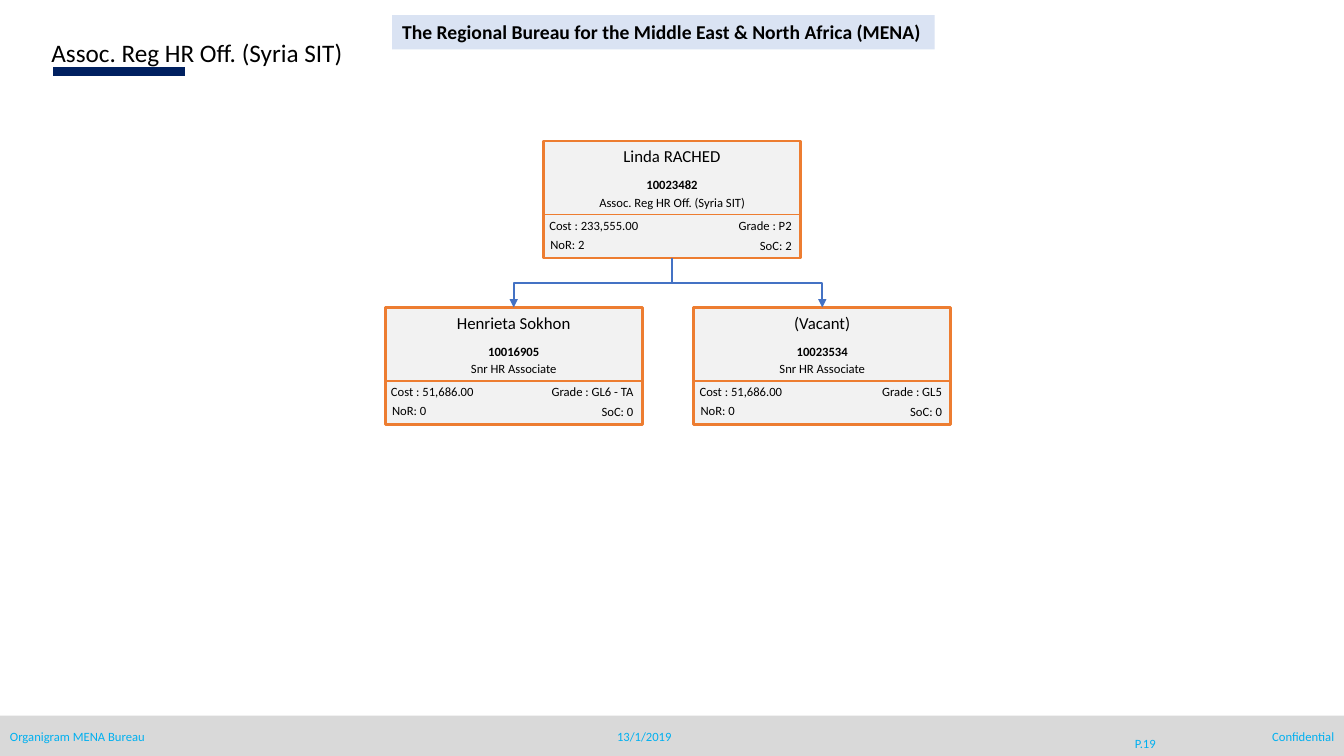
from lxml import etree
from pptx import Presentation
from pptx.dml.color import RGBColor
from pptx.enum.shapes import MSO_CONNECTOR, MSO_SHAPE
from pptx.enum.text import MSO_ANCHOR, MSO_AUTO_SIZE, PP_ALIGN
from pptx.oxml.ns import qn
from pptx.util import Inches, Pt

LEFT, CENTER, RIGHT = PP_ALIGN.LEFT, PP_ALIGN.CENTER, PP_ALIGN.RIGHT
TOP, MIDDLE = MSO_ANCHOR.TOP, MSO_ANCHOR.MIDDLE
NO_RESIZE = MSO_AUTO_SIZE.NONE
RECTANGLE = MSO_SHAPE.RECTANGLE
STRAIGHT, ELBOW = MSO_CONNECTOR.STRAIGHT, MSO_CONNECTOR.ELBOW

BLACK = RGBColor(0x00, 0x00, 0x00)
NAVY = RGBColor(0x00, 0x20, 0x60)
SKY = RGBColor(0x00, 0xB0, 0xF0)
BLUE = RGBColor(0x44, 0x72, 0xC4)
PALE_BLUE = RGBColor(0xDA, 0xE3, 0xF3)
ORANGE = RGBColor(0xED, 0x7D, 0x31)
CARD_GREY = RGBColor(0xF2, 0xF2, 0xF2)
FOOTER_GREY = RGBColor(0xD9, 0xD9, 0xD9)

SLIDE_WIDTH, SLIDE_HEIGHT = 13.33, 7.5
CARD_WIDTH, CARD_HEIGHT = 2.55, 1.16
DIVIDER_DROP = 0.73
BOTTOM_SITE, TOP_SITE = 2, 0


def write_text(shape, text, align=LEFT, anchor=TOP, wrap=True, color=BLACK, **font_format):
    frame = shape.text_frame
    frame_format = {"auto_size": NO_RESIZE, "word_wrap": wrap, "vertical_anchor": anchor}
    for name, value in frame_format.items():
        setattr(frame, name, value)
    para = frame.paragraphs[0]
    para.alignment = align
    span = para.add_run()
    span.text = text
    for name, value in {"name": "Calibri", "size": Pt(9), **font_format}.items():
        setattr(span.font, name, value)
    span.font.color.rgb = color


def add_text(slide, box, text, **text_format):
    write_text(slide.shapes.add_textbox(*map(Inches, box)), text, **text_format)


def add_panel(slide, box, fill, line=None):
    panel = slide.shapes.add_shape(RECTANGLE, *map(Inches, box))
    panel.shadow.inherit = False
    panel.fill.solid()
    panel.fill.fore_color.rgb = fill
    if line is None:
        panel.line.fill.background()
    else:
        panel.line.color.rgb = line
        panel.line.width = Pt(2)
    return panel


def style_line(connector, color, width):
    connector.line.color.rgb = color
    connector.line.width = Pt(width)
    etree.SubElement(connector._element.spPr, qn("a:effectLst"))


def add_rule(slide, left, top, width, color, weight):
    ends = map(Inches, (left, top, left + width, top))
    style_line(slide.shapes.add_connector(STRAIGHT, *ends), color, weight)


def add_header(slide, box):
    left, top = box[:2]
    title = slide.shapes.title
    title_box = (left + 0.41, top + 0.32, 5.3, 0.41)
    for name, value in zip(("left", "top", "width", "height"), title_box):
        setattr(title, name, Inches(value))
    write_text(title, "Assoc. Reg HR Off. (Syria SIT)", size=Pt(18))
    add_rule(slide, left + 0.53, top + 0.71, 1.31, NAVY, 7)
    banner = add_panel(slide, (left + 3.89, top + 0.15, 5.38, 0.34), PALE_BLUE)
    write_text(banner, "The Regional Bureau for the Middle East & North Africa (MENA)",
               wrap=False, size=Pt(14), bold=True)


def add_footer(slide, box):
    left, top, width = box[:3]
    add_panel(slide, box, FOOTER_GREY)
    labels = [
        ("Organigram MENA Bureau", 0, 3.08, 0.25, LEFT, TOP),
        ("13/1/2019", 5.95, 0.88, 0.25, CENTER, MIDDLE),
        ("P.19", 10.96, 0.8, 0.4, CENTER, MIDDLE),
        ("Confidential", width - 3.08, 3.08, 0.25, RIGHT, TOP),
    ]
    for text, offset, label_width, height, align, anchor in labels:
        add_text(slide, (left + offset, top + 0.08, label_width, height), text,
                 align=align, anchor=anchor, color=SKY)


def add_card(slide, left, top, name, number, role, cost, grade, reports, span_of_control):
    card = add_panel(slide, (left, top, CARD_WIDTH, CARD_HEIGHT), CARD_GREY, ORANGE)
    add_rule(slide, left, top + DIVIDER_DROP, CARD_WIDTH, ORANGE, 1)
    lines = [
        (name, 0, 0, CARD_WIDTH, CENTER, {"size": Pt(12)}),
        (number, 0, 0.31, CARD_WIDTH, CENTER, {"bold": True}),
        (role, 0, 0.48, CARD_WIDTH, CENTER, {}),
        (f"Cost : {cost}", -0.04, 0.71, 1.23, LEFT, {}),
        (f"Grade : {grade}", 1.34, 0.71, 1.22, RIGHT, {}),
        (f"NoR: {reports}", -0.03, 0.9, 0.79, LEFT, {}),
        (f"SoC: {span_of_control}", 1.54, 0.91, 1.02, RIGHT, {}),
    ]
    for text, across, down, width, align, font_format in lines:
        add_text(slide, (left + across, top + down, width, 0.25), text,
                 align=align, **font_format)
    return card


def connect_cards(slide, manager, report):
    start_x, start_y = manager.left + manager.width // 2, manager.top + manager.height
    end_x, end_y = report.left + report.width // 2, report.top
    link = slide.shapes.add_connector(ELBOW, start_x, start_y, end_x, end_y)
    link.begin_connect(manager, BOTTOM_SITE)
    link.end_connect(report, TOP_SITE)
    drop, reach = end_y - start_y, abs(end_x - start_x)
    frame = link._element.spPr.find(qn("a:xfrm"))
    for name in ("flipH", "flipV"):
        frame.attrib.pop(name, None)
    if end_x > start_x:
        frame.set("rot", "16200000")
        frame.set("flipH", "1")
    else:
        frame.set("rot", "5400000")
    link.left = (start_x + end_x - drop) // 2
    link.top = (start_y + end_y - reach) // 2
    link.width, link.height = drop, reach
    style_line(link, BLUE, 1.5)
    etree.SubElement(link.line._get_or_add_ln(), qn("a:tailEnd"), type="triangle")


def add_organigram(slide, box):
    left, top = box[:2]
    manager = add_card(slide, left + 1.57, top, "Linda RACHED", "10023482",
                       "Assoc. Reg HR Off. (Syria SIT)", "233,555.00", "P2", 2, 2)
    reports = [
        ("Henrieta Sokhon", "10016905", "GL6 - TA"),
        ("(Vacant)", "10023534", "GL5"),
    ]
    for index, (name, number, grade) in enumerate(reports):
        report = add_card(slide, left + index * 3.06, top + 1.65, name, number,
                          "Snr HR Associate", "51,686.00", grade, 0, 0)
        connect_cards(slide, manager, report)


def main():
    deck = Presentation()
    deck.slide_width = Inches(SLIDE_WIDTH)
    deck.slide_height = Inches(SLIDE_HEIGHT)
    page = deck.slides.add_slide(deck.slide_layouts[5])
    add_header(page, (0, 0, SLIDE_WIDTH, 0.8))
    add_organigram(page, (3.82, 1.4, 5.61, 2.81))
    add_footer(page, (0, 7.1, SLIDE_WIDTH, 0.4))
    deck.save("out.pptx")


if __name__ == "__main__":
    main()
